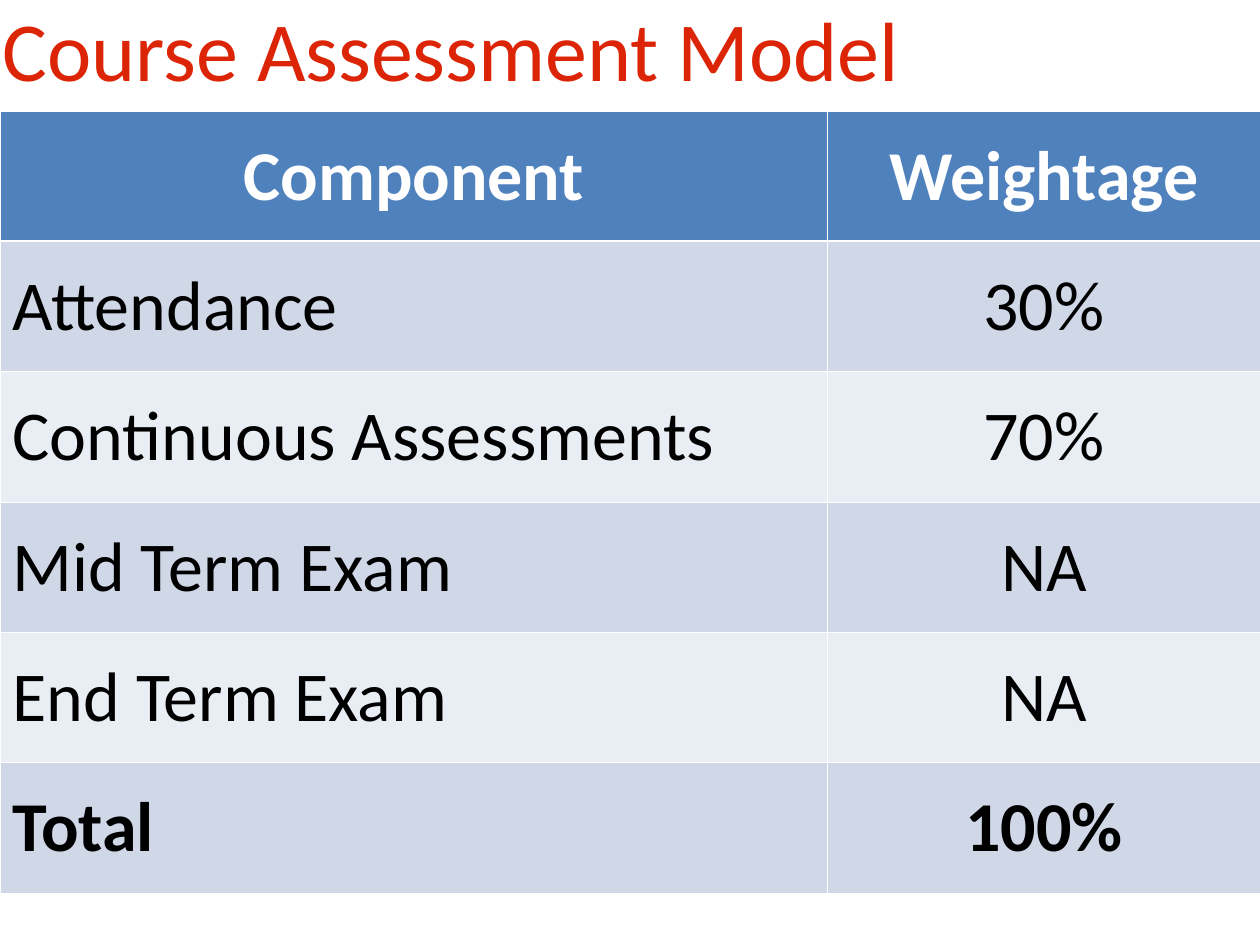
from lxml import etree
from pptx import Presentation, util as u
from pptx.dml import color
from pptx.enum import text
from pptx.oxml import ns

HEADER = ("Component", "Weightage")
COMPONENTS = (
    ("Attendance", "30%"),
    ("Continuous Assessments", "70%"),
    ("Mid Term Exam", "NA"),
    ("End Term Exam", "NA"),
    ("Total", "100%"),
)
COLUMN_WIDTHS = (473, 247)
ROW_HEIGHT = 74.5
BAND_FILLS = ("D0D8E8", "E9EDF4")
THIN, THICK = 0.45, 1.47


def rgb(value):
    """Turn a hex string into a colour."""
    return color.RGBColor.from_string(value)


def write(frame, words, size=40, ink="000000", bold=False, align=text.PP_ALIGN.LEFT):
    """Write one formatted paragraph into a text frame."""
    para = frame.paragraphs[0]
    para.alignment = align
    span = para.add_run()
    span.text = words
    span.font.name = "Calibri"
    span.font.size = u.Pt(size)
    span.font.bold = bold
    span.font.color.rgb = rgb(ink)


def add_borders(cell, **widths):
    """Draw white cell borders, given as side=width in schema order."""
    properties = cell._tc.get_or_add_tcPr()
    for side, width in widths.items():
        line = etree.SubElement(properties, ns.qn(f"a:ln{side}"), w=str(u.Pt(width)))
        fill = etree.SubElement(line, ns.qn("a:solidFill"))
        etree.SubElement(fill, ns.qn("a:srgbClr"), val="FFFFFF")


def add_title(page, words):
    """Place and format the slide title."""
    box = page.shapes.title
    box.left, box.top, box.width, box.height = map(u.Pt, (-5.76, 12.3, 675, 51))
    frame = box.text_frame
    frame.auto_size = text.MSO_AUTO_SIZE.NONE
    frame.vertical_anchor = text.MSO_ANCHOR.BOTTOM
    frame.margin_left = frame.margin_right = frame.margin_bottom = u.Pt(7.2)
    frame.margin_top = u.Pt(3.6)
    write(frame, words, size=48, ink="DC2506")


def format_cell(cell, words, row, column):
    """Fill, border and label a cell according to its place in the table."""
    is_header = row == 0
    add_borders(cell, L=THIN, R=THIN, T=THICK if row == 1 else THIN,
                B=THICK if is_header else THIN)
    cell.fill.solid()
    cell.fill.fore_color.rgb = rgb("4F81BD" if is_header else BAND_FILLS[(row - 1) % 2])
    cell.vertical_anchor = text.MSO_ANCHOR.MIDDLE
    centred = is_header or column == 1
    write(cell.text_frame, words,
          ink="FFFFFF" if is_header else "000000",
          bold=row in (0, len(COMPONENTS)),
          align=text.PP_ALIGN.CENTER if centred else text.PP_ALIGN.LEFT)


def add_assessment_table(page):
    """Add the table of components and their weightage."""
    rows = (HEADER, *COMPONENTS)
    table = page.shapes.add_table(
        len(rows), len(HEADER), u.Pt(0), u.Pt(63.4),
        u.Pt(sum(COLUMN_WIDTHS)), u.Pt(ROW_HEIGHT * len(rows))).table
    for column, width in zip(table.columns, COLUMN_WIDTHS):
        column.width = u.Pt(width)
    for row, labels in enumerate(rows):
        for column, words in enumerate(labels):
            format_cell(table.cell(row, column), words, row, column)


def main():
    """Build and save the deck."""
    deck = Presentation()
    deck.slide_width, deck.slide_height = u.Pt(720), u.Pt(540)
    page = deck.slides.add_slide(deck.slide_layouts.get_by_name("Title Only"))
    add_title(page, "Course Assessment Model")
    add_assessment_table(page)
    deck.save("out.pptx")


if __name__ == "__main__":
    main()
